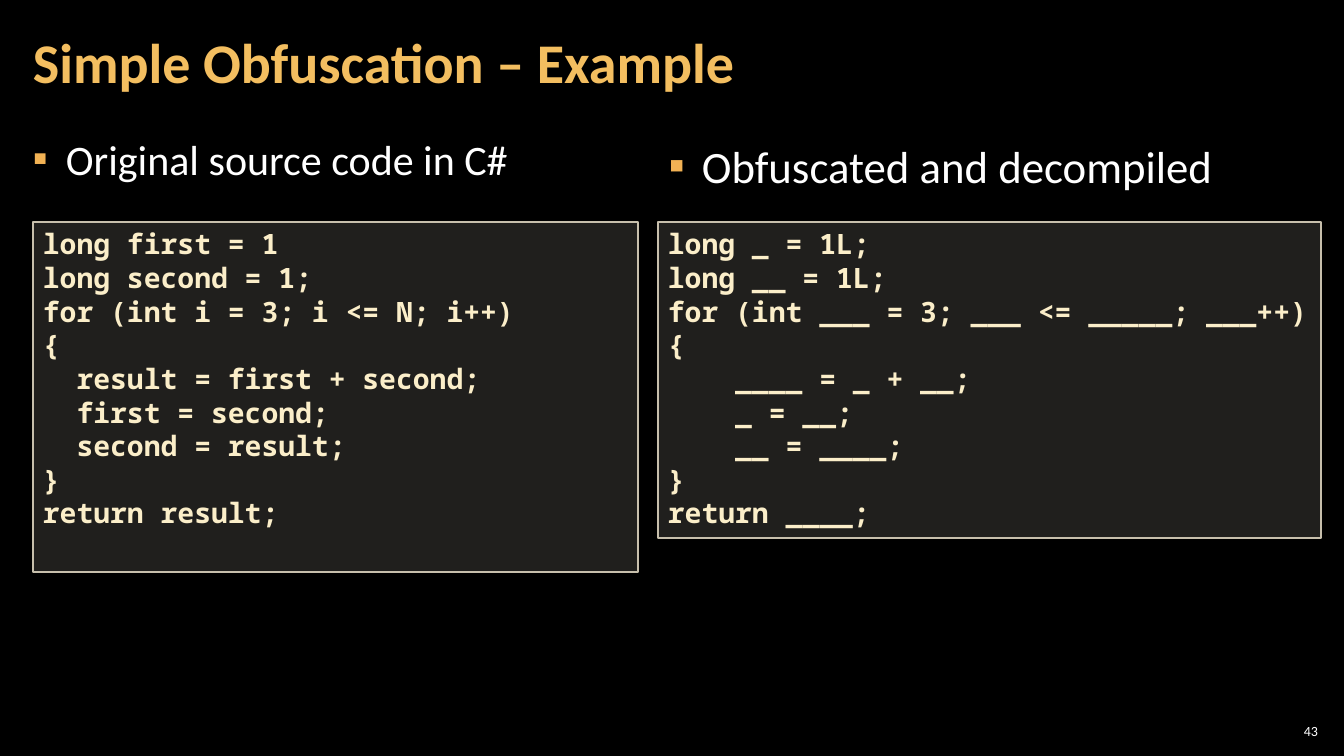
from lxml import etree
from pptx import Presentation, util as u
from pptx.dml.color import RGBColor
from pptx.enum import shapes, text
from pptx.oxml.ns import qn

PX = 914400 / 100.8


def px(length):
    return u.Emu(round(length * PX))


def style(para, size, color, bold=False, name="Calibri"):
    font = para.font
    font.size, font.bold, font.name = u.Pt(size), bold, name
    font.color.rgb = RGBColor.from_string(color)


deck = Presentation()
deck.slide_width, deck.slide_height = px(1344), px(756)
page = deck.slides.add_slide(deck.slide_layouts[6])
page.background.fill.solid()
page.background.fill.fore_color.rgb = RGBColor.from_string("000000")

# Title, bullet headings and page number
TOP, MIDDLE = text.MSO_ANCHOR.TOP, text.MSO_ANCHOR.MIDDLE
LEFT, RIGHT = text.PP_ALIGN.LEFT, text.PP_ALIGN.RIGHT
labels = [
    ("Simple Obfuscation – Example", (21, 4, 1055, 122), 12, 40, "F3BE60", True, MIDDLE, LEFT, 0.9, False),
    ("Original source code in C#", (21, 127, 1301, 614), 12, 30, "FFFFFF", False, TOP, LEFT, 1.05, True),
    ("Obfuscated and decompiled", (657, 132, 605, 118), 12, 32, "FFFFFF", False, TOP, LEFT, 1.05, True),
    ("43", (1275, 720, 47, 21), 4, 10, "FFFFFF", False, MIDDLE, RIGHT, 1.0, False),
]
for words, place, side, size, color, bold, anchor, align, spacing, bullet in labels:
    frame = page.shapes.add_textbox(*map(px, place)).text_frame
    frame.word_wrap = True
    frame.vertical_anchor = anchor
    frame.margin_left = frame.margin_right = px(side)
    frame.margin_top = frame.margin_bottom = px(4)
    para = frame.paragraphs[0]
    para.text = words
    para.alignment = align
    para.line_spacing = spacing
    if bullet:
        para.space_after = u.Pt(6)
        props = para._p.get_or_add_pPr()
        props.set("marL", str(px(33)))
        props.set("indent", str(-px(33)))
        tint = etree.SubElement(props, qn("a:buClr"))
        etree.SubElement(tint, qn("a:srgbClr"), val="F2B254")
        etree.SubElement(props, qn("a:buFont"), typeface="Calibri")
        etree.SubElement(props, qn("a:buChar"), char="▪")
    style(para, size, color, bold)

# Code panels
source_code = """long first = 1
long second = 1;
for (int i = 3; i <= N; i++)
{
  result = first + second;
  first = second;
  second = result;
}
return result;"""
decompiled_code = """long _ = 1L;
long __ = 1L;
for (int ___ = 3; ___ <= _____; ___++)
{
    ____ = _ + __;
    _ = __;
    __ = ____;
}
return ____;"""
for code, left, width, height in [
    (source_code, 33, 605, 350),
    (decompiled_code, 658, 663, 316),
]:
    panel = page.shapes.add_shape(
        shapes.MSO_SHAPE.RECTANGLE, px(left), px(222), px(width), px(height))
    panel.shadow.inherit = False
    panel.fill.solid()
    panel.fill.fore_color.rgb = RGBColor.from_string("D9D5C7")
    fill_color = panel._element.spPr.find(qn("a:solidFill"))[0]
    etree.SubElement(fill_color, qn("a:alpha"), val="15000")
    panel.line.color.rgb = RGBColor.from_string("C7BFAC")
    panel.line.width = u.Pt(1)
    frame = panel.text_frame
    frame.word_wrap = True
    frame.vertical_anchor = TOP
    frame.text = code
    for para in frame.paragraphs:
        para.alignment = LEFT
        style(para, 20, "FBEEC9", True, "Noto Sans Mono")

deck.save("out.pptx")
